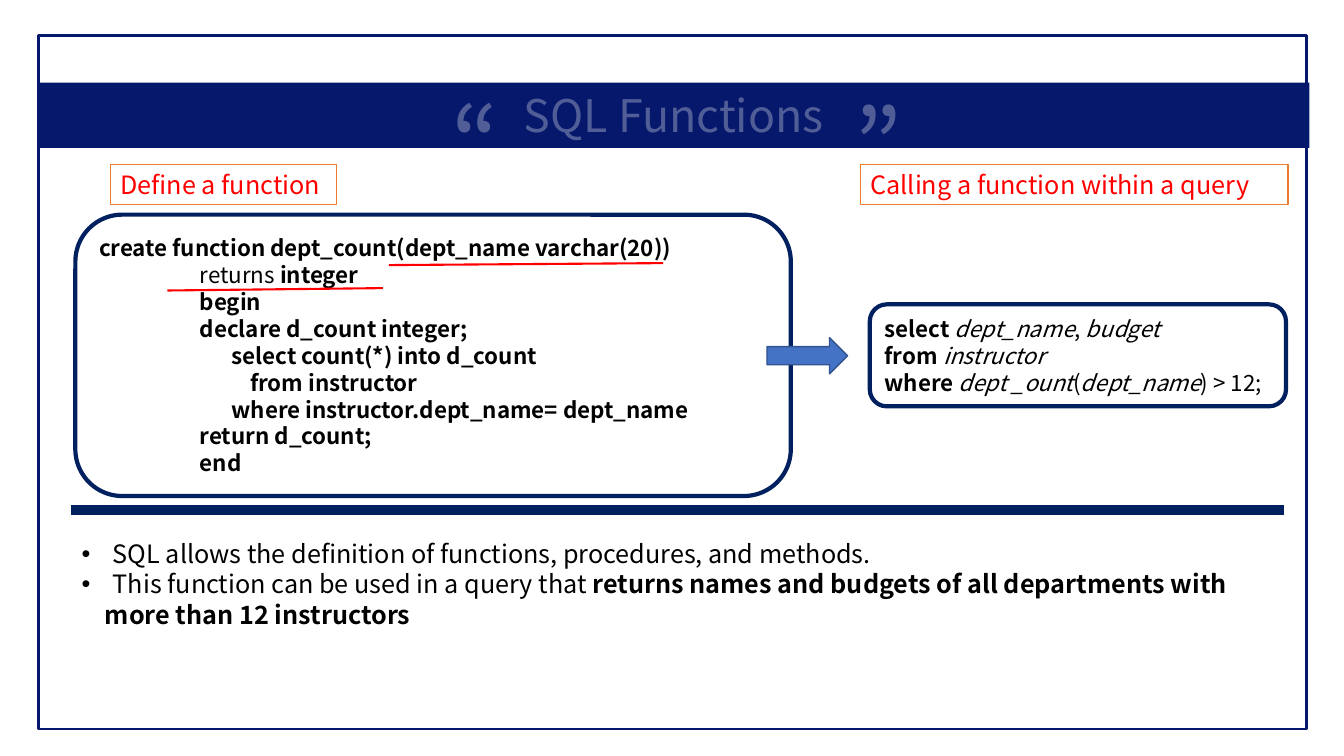
"""Build a slide that defines an SQL function and calls it in a query."""
from lxml.etree import SubElement
from pptx import Presentation
from pptx.dml.color import RGBColor
from pptx.enum.shapes import MSO_CONNECTOR, MSO_SHAPE
from pptx.enum.text import MSO_ANCHOR, MSO_AUTO_SIZE, PP_ALIGN
from pptx.oxml.ns import qn
from pptx.util import Cm, Pt

FONT = "Noto Sans CJK KR"
BLUE = RGBColor(0x05, 0x18, 0x6B)
NAVY = RGBColor(0x00, 0x20, 0x60)
ARROW = RGBColor(0x44, 0x72, 0xC4)
ARROW_EDGE = RGBColor(0x32, 0x54, 0x91)
ORANGE = RGBColor(0xED, 0x7D, 0x31)
RED = RGBColor(0xFF, 0x00, 0x00)
BLACK = RGBColor(0x00, 0x00, 0x00)
WHITE = RGBColor(0xFF, 0xFF, 0xFF)


def write(p, text, size=16, color=BLACK, bold=False, italic=False, alpha=None,
          align=PP_ALIGN.LEFT):
    p.alignment = align
    r = p.add_run()
    r.text = text
    r.font.name, r.font.size = FONT, Pt(size)
    r.font.bold, r.font.italic = bold, italic
    r.font.color.rgb = color
    if alpha:
        clr = r._r.find(".//" + qn("a:srgbClr"))
        SubElement(clr, qn("a:alpha"), val=str(alpha * 1000))


def add_box(kind, x, y, w, h, fill=None, line=None, width=1):
    sp = s.shapes.add_shape(kind, Cm(x), Cm(y), Cm(w), Cm(h))
    sp.shadow.inherit = False
    if fill is None:
        sp.fill.background()
    else:
        sp.fill.solid()
        sp.fill.fore_color.rgb = fill
    if line is None:
        sp.line.fill.background()
    else:
        sp.line.color.rgb = line
        sp.line.width = Pt(width)
    sp.text_frame.word_wrap = True
    return sp


prs = Presentation()
prs.slide_width, prs.slide_height = Cm(33.87), Cm(19.05)
s = prs.slides.add_slide(prs.slide_layouts[1])
title, body = s.placeholders

add_box(MSO_SHAPE.RECTANGLE, 0.97, 0.89, 31.95, 17.48, line=BLUE, width=2)
add_box(MSO_SHAPE.RECTANGLE, 0.97, 2.08, 32.03, 1.65, fill=BLUE)

s.shapes._spTree.append(title._element)
title.left, title.top, title.width, title.height = Cm(4.22), Cm(2.08), Cm(25.53), Cm(1.63)
tf = title.text_frame
tf.auto_size = MSO_AUTO_SIZE.NONE
tf.vertical_anchor = MSO_ANCHOR.TOP
write(tf.paragraphs[0], "SQL Functions", size=32, color=WHITE, alpha=30, align=PP_ALIGN.CENTER)

for mark, x, y in [("“", 10.69, 1.91), ("”", 20.85, 1.96)]:
    tf = s.shapes.add_textbox(Cm(x), Cm(y), Cm(2.57), Cm(3.33)).text_frame
    tf.word_wrap = True
    write(tf.paragraphs[0], mark, size=72, color=WHITE, alpha=30, align=PP_ALIGN.CENTER)

code = [
    (0, [("create function dept_count(dept_name varchar(20))", "b")]),
    (2.54, [("returns ", ""), ("integer", "b")]),
    (2.54, [("begin", "b")]),
    (2.54, [("declare d_count integer;", "b")]),
    (3.34, [("select count(*) into d_count", "b")]),
    (3.81, [("from instructor", "b")]),
    (3.34, [("where instructor.dept_name= dept_name", "b")]),
    (2.54, [("return d_count;", "b")]),
    (2.54, [("end", "b")]),
]
query = [
    (0, [("select ", "b"), ("dept_name", "i"), (", ", ""), ("budget", "i")]),
    (0, [("from ", "b"), ("instructor", "i")]),
    (0, [("where ", "b"), ("dept _ount", "i"), ("(", ""), ("dept_name", "i"), (") > 12;", "")]),
]
for lines, x, y, w, h in [(code, 1.9, 5.41, 18.03, 7.09), (query, 21.92, 7.67, 10.49, 2.57)]:
    sp = add_box(MSO_SHAPE.ROUNDED_RECTANGLE, x, y, w, h, WHITE, NAVY, 3)
    tf = sp.text_frame
    tf.vertical_anchor = MSO_ANCHOR.MIDDLE
    for i, (indent, runs) in enumerate(lines):
        p = tf.add_paragraph() if i else tf.paragraphs[0]
        p._p.get_or_add_pPr().set("marL", str(Cm(indent)))
        for text, style in runs:
            write(p, text, bold=style == "b", italic=style == "i")

s.shapes._spTree.append(body._element)
body.left, body.top, body.width, body.height = Cm(1.8), Cm(13.44), Cm(30.56), Cm(3.33)
tf = body.text_frame
tf.auto_size = MSO_AUTO_SIZE.NONE
notes = [
    (0.79, -0.79, [("SQL allows the definition of functions, procedures, and methods.", False)]),
    (0.79, -0.79, [("This function can be used in a query that ", False),
                   ("returns names and budgets of all departments with", True)]),
    (0.59, 0, [("more than 12 instructors", True)]),
]
for i, (margin, hang, runs) in enumerate(notes):
    p = tf.add_paragraph() if i else tf.paragraphs[0]
    p.space_before = Pt(0)
    pPr = p._p.get_or_add_pPr()
    pPr.set("marL", str(Cm(margin)))
    pPr.set("indent", str(Cm(hang)))
    if not hang:
        SubElement(pPr, qn("a:buNone"))
    for text, bold in runs:
        write(p, text, size=18, bold=bold)

add_box(MSO_SHAPE.RIGHT_ARROW, 19.33, 8.51, 2.03, 0.91, ARROW, ARROW_EDGE)

for label, x, w in [("Define a function", 2.79, 5.69),
                    ("Calling a function within a query", 21.69, 10.77)]:
    tf = add_box(MSO_SHAPE.RECTANGLE, x, 4.14, w, 1.02, WHITE, ORANGE).text_frame
    tf.vertical_anchor = MSO_ANCHOR.TOP
    write(tf.paragraphs[0], label, size=18, color=RED)

for x1, y1, x2, y2, color, width in [(1.8, 12.85, 32.36, 12.85, NAVY, 7),
                                     (9.8, 6.68, 16.71, 6.63, RED, 1.5),
                                     (4.22, 7.32, 9.65, 7.26, RED, 1.5)]:
    line = s.shapes.add_connector(MSO_CONNECTOR.STRAIGHT, Cm(x1), Cm(y1), Cm(x2), Cm(y2))
    line.line.color.rgb = color
    line.line.width = Pt(width)
    SubElement(line._element.spPr, qn("a:effectLst"))

prs.save("out.pptx")
